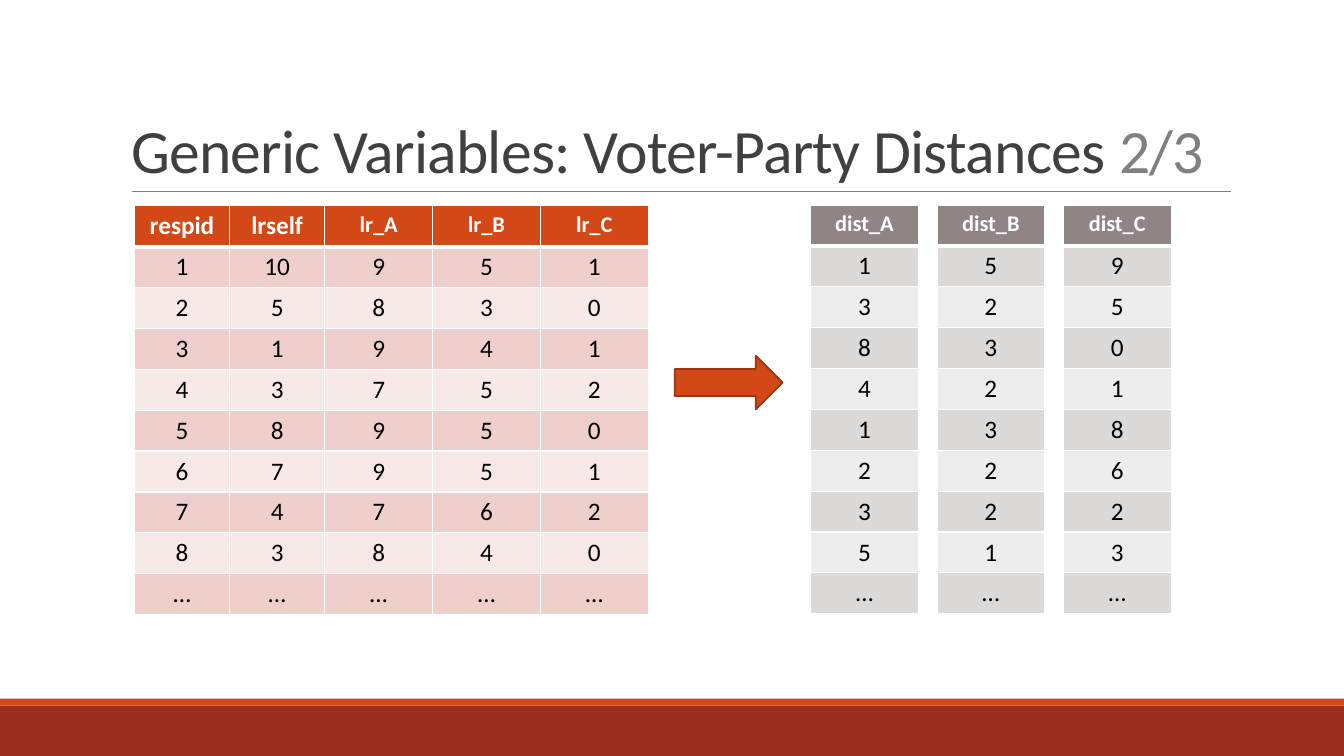
from lxml.etree import SubElement
from pptx import Presentation
from pptx.dml.color import RGBColor
from pptx.enum.shapes import MSO_CONNECTOR, MSO_SHAPE
from pptx.enum.text import MSO_ANCHOR, MSO_AUTO_SIZE, PP_ALIGN
from pptx.oxml import parse_xml
from pptx.oxml.ns import nsdecls, qn
from pptx.util import Pt

FONT = "Calibri"
ORANGE, DARK_RED, GREY = "D34817", "9B2D1F", "808080"
RED_STYLE = (ORANGE, "EFCFCC", "F7E9E8")
GREY_STYLE = ("918485", "DCD9D9", "EEEDED")
ROW_HEIGHT = 29.2
PARTY_WIDTH = 77
RESPONDENT_WIDTH = 68

RESPONDENTS = {"respid": [1, 2, 3, 4, 5, 6, 7, 8],
               "lrself": [10, 5, 1, 3, 8, 7, 4, 3]}
POSITIONS = {"lr_A": [9, 8, 9, 7, 9, 9, 7, 8],
             "lr_B": [5, 3, 4, 5, 5, 5, 6, 4],
             "lr_C": [1, 0, 1, 2, 0, 1, 2, 0]}
DISTANCES = {"dist_A": [1, 3, 8, 4, 1, 2, 3, 5],
             "dist_B": [5, 2, 3, 2, 3, 2, 2, 1],
             "dist_C": [9, 5, 0, 1, 8, 6, 2, 3]}


def colour(hex_code):
    """Turn a hex string into a colour."""
    return RGBColor.from_string(hex_code)


def add_text(paragraph, text, size=18, ink="000000", bold=False, spacing=None):
    """Append a formatted run; spacing is in hundredths of a point."""
    run = paragraph.add_run()
    run.text = text
    run.font.name = FONT
    run.font.size = Pt(size)
    run.font.bold = bold
    run.font.color.rgb = colour(ink)
    if spacing is not None:
        run.font._element.set("spc", str(spacing))


def add_block(slide, kind, left, top, width, height, fill, outline=None):
    """Add a flat preset shape, outlined only when a colour is given."""
    block = slide.shapes.add_shape(kind, Pt(left), Pt(top), Pt(width), Pt(height))
    block.shadow.inherit = False
    block.fill.solid()
    block.fill.fore_color.rgb = colour(fill)
    if outline:
        block.line.color.rgb = colour(outline)
        block.line.width = Pt(1.25)
    else:
        block.line.fill.background()


def add_rule(slide, left, right, height):
    """Add the thin line under the title."""
    rule = slide.shapes.add_connector(
        MSO_CONNECTOR.STRAIGHT, Pt(left), Pt(height), Pt(right), Pt(height))
    rule.line.color.rgb = colour(GREY)
    rule.line.width = Pt(0.5)
    SubElement(rule._element.spPr, qn("a:effectLst"))


def set_borders(cell, bottom):
    """Give a cell white borders, with its own bottom width."""
    properties = cell._tc.get_or_add_tcPr()
    for place, (side, width) in enumerate(
            [("lnL", 1), ("lnR", 1), ("lnT", 1), ("lnB", bottom)]):
        properties.insert(place, parse_xml(
            f'<a:{side} {nsdecls("a")} w="{Pt(width)}"><a:solidFill>'
            f'<a:srgbClr val="FFFFFF"/></a:solidFill></a:{side}>'))


def fill_cell(cell, text, fill, bottom=1, **text_format):
    """Write centred text in a filled and bordered cell."""
    cell.fill.solid()
    cell.fill.fore_color.rgb = colour(fill)
    set_borders(cell, bottom)
    paragraph = cell.text_frame.paragraphs[0]
    paragraph.alignment = PP_ALIGN.CENTER
    add_text(paragraph, text, **text_format)


def add_variables(slide, left, top, variables, style, width, header_size=16):
    """Add a banded table with one column per variable."""
    header_fill, *bands = style
    row_count = len(next(iter(variables.values()))) + 2
    table = slide.shapes.add_table(
        row_count, len(variables), Pt(left), Pt(top),
        Pt(width * len(variables)), Pt(ROW_HEIGHT * row_count)).table
    for row in table.rows:
        row.height = Pt(ROW_HEIGHT)
    for column, (variable, values) in enumerate(variables.items()):
        table.columns[column].width = Pt(width)
        fill_cell(table.cell(0, column), variable, header_fill, bottom=3,
                  size=header_size, ink="FFFFFF", bold=True)
        for index, value in enumerate([*values, "…"]):
            fill_cell(table.cell(index + 1, column), str(value), bands[index % 2])


def set_title(slide):
    """Place the title and write its heading and page count."""
    title = slide.shapes.title
    title.left, title.top, title.width, title.height = (
        Pt(86.4), Pt(22.5), Pt(792), Pt(114.2))
    frame = title.text_frame
    frame.auto_size = MSO_AUTO_SIZE.NONE
    frame.word_wrap = True
    frame.vertical_anchor = MSO_ANCHOR.BOTTOM
    heading = frame.paragraphs[0]
    heading.alignment = PP_ALIGN.LEFT
    heading.line_spacing = 0.85
    add_text(heading, "Generic Variables: Voter-Party Distances ",
             size=44, ink="404040", spacing=-50)
    add_text(heading, "2/3", size=44, ink=GREY, spacing=-50)


def main():
    """Build and save the slide."""
    deck = Presentation()
    deck.slide_width, deck.slide_height = Pt(960), Pt(540)
    slide = deck.slides.add_slide(deck.slide_layouts[5])

    add_block(slide, MSO_SHAPE.RECTANGLE, 0, 504, 960, 36, DARK_RED)
    add_block(slide, MSO_SHAPE.RECTANGLE, 0, 499, 960, 5, ORANGE)
    add_rule(slide, 94.3, 879, 136.8)
    set_title(slide)

    survey_left, survey_top = 96, 147
    add_variables(slide, survey_left, survey_top, RESPONDENTS, RED_STYLE,
                  RESPONDENT_WIDTH, header_size=18)
    parties_left = survey_left + RESPONDENT_WIDTH * len(RESPONDENTS)
    for party, (variable, values) in enumerate(POSITIONS.items()):
        add_variables(slide, parties_left + party * PARTY_WIDTH, survey_top,
                      {variable: values}, RED_STYLE, PARTY_WIDTH)

    add_block(slide, MSO_SHAPE.RIGHT_ARROW, 482, 254, 77, 38.4, ORANGE, "9C3511")

    for party, (variable, values) in enumerate(DISTANCES.items()):
        add_variables(slide, 579 + party * 90.3, 146.4,
                      {variable: values}, GREY_STYLE, PARTY_WIDTH)
    deck.save("out.pptx")


main()
